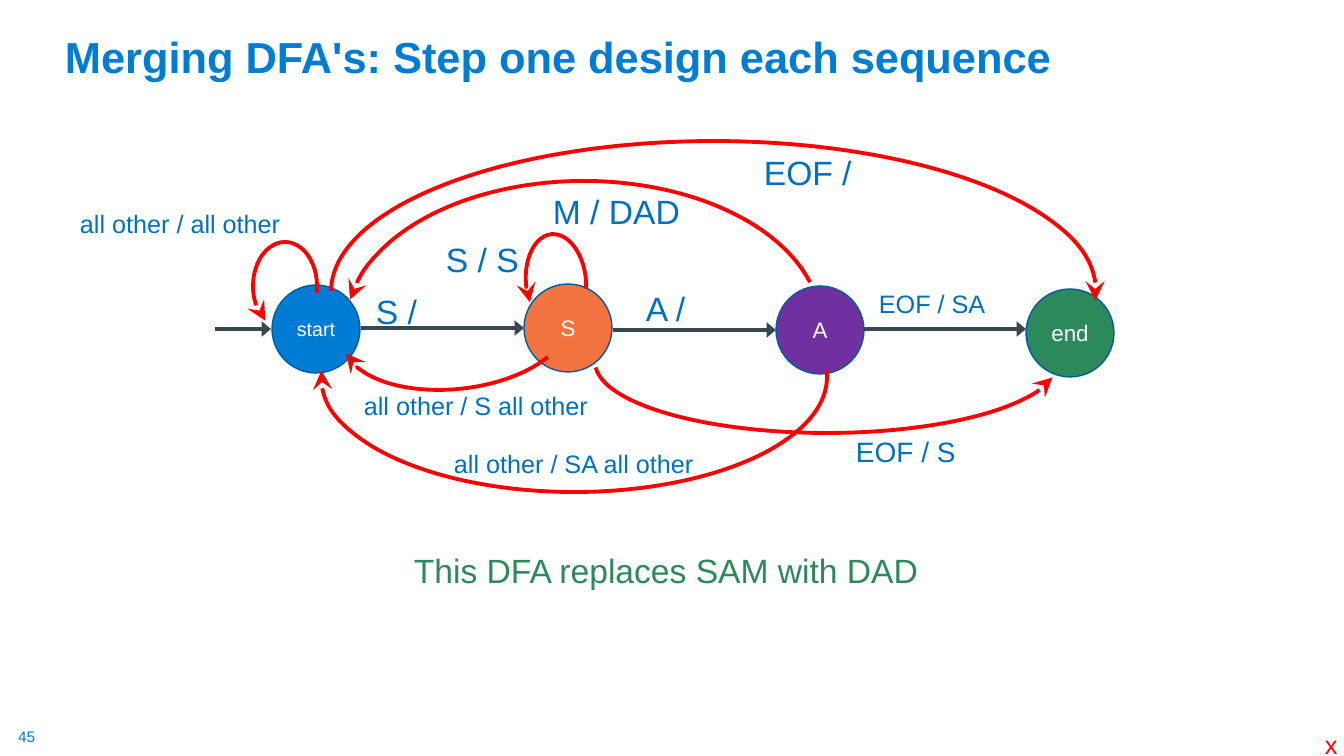
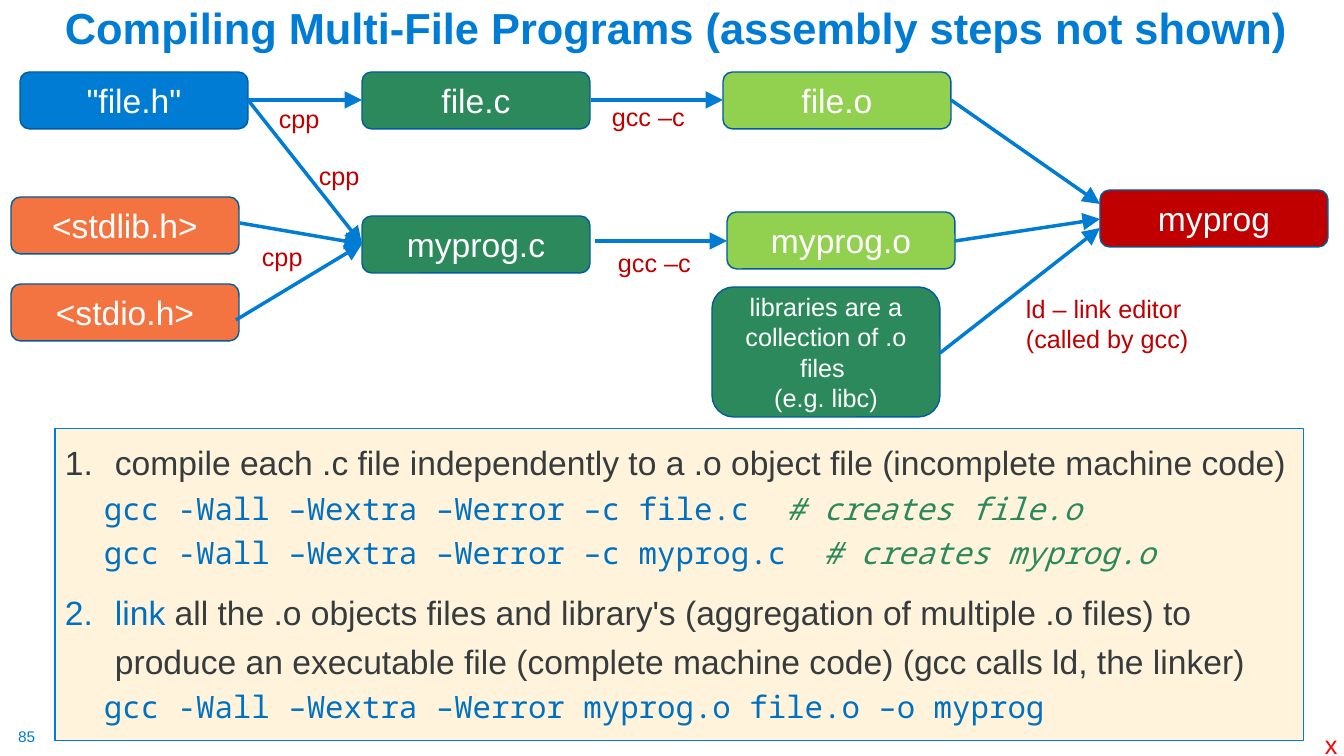
import lxml.etree
import pptx
import pptx.dml.color
import pptx.enum.shapes
import pptx.enum.text
import pptx.oxml.ns
import pptx.util

RGBColor = pptx.dml.color.RGBColor
SHAPES = pptx.enum.shapes.MSO_SHAPE
ANCHOR = pptx.enum.text.MSO_ANCHOR
ALIGN = pptx.enum.text.PP_ALIGN
AUTO_SIZE = pptx.enum.text.MSO_AUTO_SIZE
qn = pptx.oxml.ns.qn

EMU_PER_PX = 914400 / 100.8
SANS, MONO = "Arial", "Noto Sans Mono"

BLUE = RGBColor(0x00, 0x7C, 0xD5)
OUTLINE = RGBColor(0x00, 0x5C, 0x9E)
LABEL_BLUE = RGBColor(0x00, 0x70, 0xC0)
GREEN = RGBColor(0x2C, 0x89, 0x5B)
LIME = RGBColor(0x92, 0xD0, 0x50)
ORANGE = RGBColor(0xF3, 0x74, 0x40)
PURPLE = RGBColor(0x70, 0x30, 0xA0)
RED = RGBColor(0xFF, 0x00, 0x00)
DARK_RED = RGBColor(0xC0, 0x00, 0x00)
SLATE = RGBColor(0x38, 0x48, 0x51)
INK = RGBColor(0x36, 0x3B, 0x3E)
CREAM = RGBColor(0xFF, 0xF4, 0xDB)
WHITE = RGBColor(0xFF, 0xFF, 0xFF)

LABEL_HEIGHTS = {18: 40, 20: 44, 24: 50}


# Shared helpers
def px(*lengths):
    return [pptx.util.Emu(round(length * EMU_PER_PX)) for length in lengths]


def set_formats(target, formats):
    for name, value in formats.items():
        setattr(target, name, value)


def add_run(paragraph, text, size, color, **formats):
    run = paragraph.add_run()
    run.text = text
    run.font.color.rgb = color
    set_formats(run.font, {"name": SANS, "size": pptx.util.Pt(size), **formats})


def add_text(slide, box, text, size, color, frame_formats=None, spacing=None, **formats):
    """Text box with one paragraph for each line of text."""
    frame = slide.shapes.add_textbox(*px(*box)).text_frame
    set_formats(frame, frame_formats or {"word_wrap": False,
                                         "auto_size": AUTO_SIZE.SHAPE_TO_FIT_TEXT})
    for index, line in enumerate(text.split("\n")):
        paragraph = frame.paragraphs[0] if index == 0 else frame.add_paragraph()
        paragraph.line_spacing = spacing
        add_run(paragraph, line, size, color, **formats)


def add_label(slide, left, top, width, text, size, color):
    lines = text.count("\n") + 1
    height = LABEL_HEIGHTS[size] + 32 * (lines - 1)
    add_text(slide, (left, top, width, height), text, size, color)


def set_line(shape, color, width, arrowhead=None, length="lg"):
    shape.line.color.rgb = color
    shape.line.width = pptx.util.Pt(width)
    if arrowhead:
        line = shape.element.spPr.find(qn("a:ln"))
        lxml.etree.SubElement(line, qn("a:tailEnd"), type=arrowhead, w="lg", len=length)


def add_arrow(slide, start, end, color, width, length="lg"):
    connector = slide.shapes.add_connector(
        pptx.enum.shapes.MSO_CONNECTOR.STRAIGHT, *px(*start, *end))
    set_line(connector, color, width, "triangle", length)
    lxml.etree.SubElement(connector.element.spPr, qn("a:effectLst"))


def add_node(slide, kind, box, text, size, fill):
    shape = slide.shapes.add_shape(kind, *px(*box))
    shape.shadow.inherit = False
    shape.fill.solid()
    shape.fill.fore_color.rgb = fill
    set_line(shape, OUTLINE, 1)
    frame = shape.text_frame
    set_formats(frame, {"word_wrap": True, "vertical_anchor": ANCHOR.MIDDLE})
    for index, line in enumerate(text.split("\n")):
        paragraph = frame.paragraphs[0] if index == 0 else frame.add_paragraph()
        paragraph.alignment = ALIGN.CENTER
        add_run(paragraph, line, size, WHITE)


def add_arc(slide, box, start, end, rotation, flips):
    """Curved arrow between two angles in degrees."""
    arc = slide.shapes.add_shape(SHAPES.ARC, *px(*box))
    arc.shadow.inherit = False
    arc.fill.background()
    set_line(arc, RED, 2.75, "stealth")
    # Angles are stored in 60000ths of a degree, adjustments in 100000ths
    arc.adjustments[0], arc.adjustments[1] = start * 0.6, end * 0.6
    arc.rotation = rotation
    for axis in flips:
        arc.element.spPr.find(qn("a:xfrm")).set("flip" + axis, "1")


def add_base_slide(presentation, title, title_box, number):
    slide = presentation.slides.add_slide(presentation.slide_layouts[6])
    add_text(slide, title_box, title, 31, BLUE,
             {"word_wrap": True, "vertical_anchor": ANCHOR.BOTTOM}, 0.9, bold=True)
    margins = ("margin_left", "margin_top", "margin_right", "margin_bottom")
    add_text(slide, (18, 727, 19, 19), number, 11, BLUE,
             {"word_wrap": False, **dict.fromkeys(margins, 0)})
    add_label(slide, 1315, 724, 33, "x", 18, RED)
    return slide


# State machine
def add_state_machine(slide, left, top):
    states = [
        (202, 145, "start", 14, BLUE),
        (454, 144, "S", 16, ORANGE),
        (706, 146, "A", 16, PURPLE),
        (956, 149, "end", 16, GREEN),
    ]
    for x, y, name, size, fill in states:
        add_node(slide, SHAPES.OVAL, (left + x, top + y, 88, 88), name, size, fill)

    steps = [(145, 201, 189), (291, 454, 188), (543, 706, 190), (793, 956, 189)]
    for start, end, y in steps:
        add_arrow(slide, (left + start, top + y), (left + end, top + y),
                  SLATE, 2.25, "med")

    # x, y, width, height, start angle, end angle, rotation, flips
    transitions = [
        (525, 151, 463, 142, 181.36, 356.07, 0, "V"),
        (183, 102, 64, 88, 167.74, 60.41, 0, "H"),
        (276, 41, 475, 290, 190.93, 353.55, 180, "V"),
        (327, 77, 117, 227, 112.2, 264.34, 83.8, "HV"),
        (251, 122, 506, 230, 178.45, 1.48, 180, ""),
        (261, 1, 765, 301, 180.09, 1.33, 180, "HV"),
        (456, 94, 60, 96, 162.09, 32.57, 354.6, "H"),
    ]
    for x, y, width, height, *angles in transitions:
        add_arc(slide, (left + x, top + y, width, height), *angles)

    labels = [
        (296, 146, 73, "S /", 24),
        (566, 143, 66, "A /", 24),
        (473, 46, 148, "M / DAD", 24),
        (776, 290, 122, "EOF / S", 20),
        (0, 63, 223, "all other / all other", 18),
        (284, 245, 247, "all other / S all other", 18),
        (374, 303, 263, "all other / SA all other", 18),
        (799, 143, 128, "EOF / SA", 18),
        (684, 7, 109, "EOF /", 24),
        (366, 94, 94, "S / S", 24),
    ]
    for x, y, width, text, size in labels:
        add_label(slide, left + x, top + y, width, text, size, LABEL_BLUE)


# Build pipeline
def add_build_pipeline(slide, left, top):
    files = [
        (9, 0, '"file.h"', BLUE),
        (351, 0, "file.c", GREEN),
        (712, 0, "file.o", LIME),
        (1089, 118, "myprog", DARK_RED),
        (0, 125, "<stdlib.h>", ORANGE),
        (0, 212, "<stdio.h>", ORANGE),
        (351, 144, "myprog.c", GREEN),
        (716, 140, "myprog.o", LIME),
    ]
    for x, y, name, fill in files:
        add_node(slide, SHAPES.ROUNDED_RECTANGLE, (left + x, top + y, 228, 57),
                 name, 24, fill)
    add_node(slide, SHAPES.ROUNDED_RECTANGLE, (left + 701, top + 215, 228, 130),
             "libraries are a\ncollection of .o files \n(e.g. libc)", 18, GREEN)

    arrows = [
        (237, 28, 351, 28), (580, 28, 712, 28), (929, 281, 1089, 156),
        (940, 28, 1089, 132), (944, 169, 1089, 147), (225, 248, 351, 172),
        (229, 151, 351, 172), (237, 28, 351, 172), (584, 169, 716, 169),
    ]
    for x1, y1, x2, y2 in arrows:
        add_arrow(slide, (left + x1, top + y1), (left + x2, top + y2), BLUE, 2.5)

    labels = [
        (258, 26, 61, "cpp"), (298, 83, 61, "cpp"), (241, 164, 61, "cpp"),
        (591, 24, 101, "gcc –c"), (597, 170, 101, "gcc –c"),
        (1005, 216, 184, "ld – link editor\n(called by gcc)"),
    ]
    for x, y, width, text in labels:
        add_label(slide, left + x, top + y, width, text, 18, DARK_RED)


# Numbered steps with commands
def add_step(paragraph, number, runs):
    properties = paragraph._p.get_or_add_pPr()
    indent = px(50)[0]
    properties.set("marL", str(indent))
    properties.set("indent", str(-indent))
    lxml.etree.SubElement(properties, qn("a:buAutoNum"),
                          type="arabicPeriod", startAt=str(number))
    set_formats(paragraph, {"line_spacing": 1.2,
                            "space_before": pptx.util.Pt(10 if number > 1 else 0)})
    for text, color in runs:
        add_run(paragraph, text, 24, color)


def add_command(paragraph, command, comment):
    paragraph._p.get_or_add_pPr().set("marL", str(px(39)[0]))
    paragraph.space_before = pptx.util.Pt(5)
    add_run(paragraph, command, 22, LABEL_BLUE, name=MONO)
    if comment:
        add_run(paragraph, comment, 22, GREEN, name=MONO, italic=True)


def add_build_steps(slide, box):
    panel = slide.shapes.add_shape(SHAPES.RECTANGLE, *px(*box))
    panel.shadow.inherit = False
    panel.fill.solid()
    panel.fill.fore_color.rgb = CREAM
    set_line(panel, BLUE, 0.75)
    frame = panel.text_frame
    set_formats(frame, {"word_wrap": True, "vertical_anchor": ANCHOR.TOP})
    steps = [
        ([("compile each .c file independently to a .o object file "
           "(incomplete machine code)", INK)],
         [("gcc -Wall –Wextra –Werror –c file.c  ", "# creates file.o"),
          ("gcc -Wall –Wextra –Werror –c myprog.c  ", "# creates myprog.o")]),
        ([("link", LABEL_BLUE),
          (" all the .o objects files and library's (aggregation of multiple .o files) "
           "to produce an executable file (complete machine code) "
           "(gcc calls ld, the linker)", INK)],
         [("gcc -Wall –Wextra –Werror myprog.o file.o –o myprog", None)]),
    ]
    for number, (runs, commands) in enumerate(steps, 1):
        paragraph = frame.paragraphs[0] if number == 1 else frame.add_paragraph()
        paragraph.alignment = ALIGN.LEFT
        add_step(paragraph, number, runs)
        for command, comment in commands:
            paragraph = frame.add_paragraph()
            paragraph.alignment = ALIGN.LEFT
            add_command(paragraph, command, comment)


# Slides
def add_dfa_slide(presentation):
    slide = add_base_slide(presentation, "Merging DFA's: Step one design each sequence",
                           (55, 9, 1159, 79), "45")
    add_state_machine(slide, 70, 140)
    add_label(slide, 404, 545, 529, "This DFA replaces SAM with DAD", 24, GREEN)


def add_compiling_slide(presentation):
    slide = add_base_slide(presentation,
                           "Compiling Multi-File Programs (assembly steps not shown)",
                           (55, 9, 1249, 50), "85")
    add_build_steps(slide, (55, 429, 1249, 312))
    add_build_pipeline(slide, 11, 72)


def main():
    presentation = pptx.Presentation()
    presentation.slide_width, presentation.slide_height = px(1344, 756)
    add_dfa_slide(presentation)
    add_compiling_slide(presentation)
    presentation.save("out.pptx")


if __name__ == "__main__":
    main()
